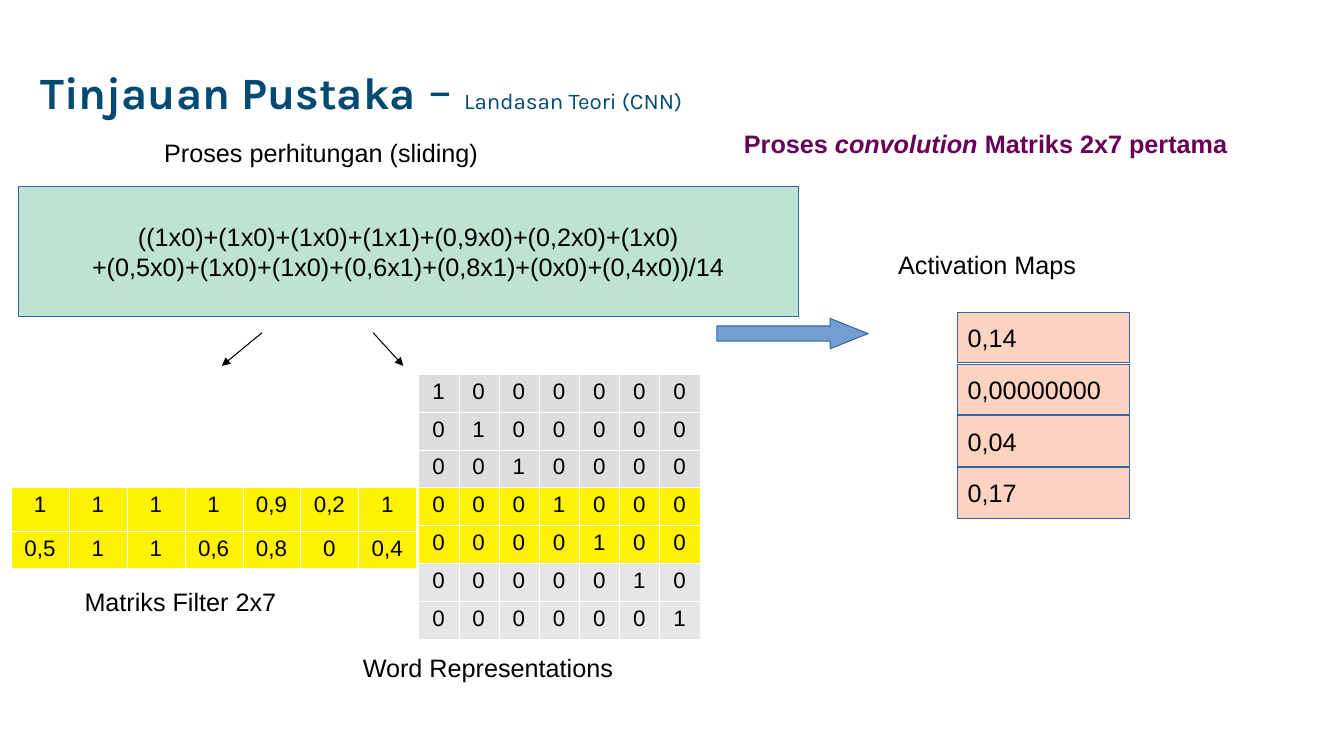
from dataclasses import dataclass

from lxml.etree import SubElement
from pptx import Presentation
from pptx.dml.color import RGBColor
from pptx.enum.shapes import MSO_CONNECTOR, MSO_SHAPE
from pptx.enum.text import MSO_ANCHOR, MSO_AUTO_SIZE, PP_ALIGN
from pptx.oxml.ns import qn
from pptx.util import Emu, Pt


@dataclass(frozen=True)
class Theme:
    """Colours, fonts and type sizes of the slide."""
    heading_font: str = "Karla"
    body_font: str = "Arial"
    title: str = "014A73"
    ink: str = "000000"
    emphasis: str = "680059"
    outline: str = "3465A4"
    formula: str = "BEE3D3"
    arrow: str = "729FCF"
    activation: str = "FCD3C1"
    window: str = "FFF200"
    above: str = "DDDDDD"
    below: str = "E6E6E6"
    grid: str = "FFFFFF"
    title_size: int = 32
    dash_size: int = 36
    subtitle_size: int = 16
    body_size: int = 18
    cell_size: int = 16
    line_width: float = 0.75


THEME = Theme()
LABEL_HEIGHT = 38


def px(value):
    """Turn px, at 100 to the inch, into EMU."""
    return Emu(round(value * 9144))


def place(box):
    """Turn a px box into EMU."""
    return [px(value) for value in box]


def add_run(paragraph, text, color=THEME.ink, **formats):
    """Append a run with the given font values."""
    run = paragraph.add_run()
    run.text = text
    values = {"name": THEME.body_font, "size": THEME.body_size} | formats
    values["size"] = Pt(values["size"])
    for name, value in values.items():
        setattr(run.font, name, value)
    run.font.color.rgb = RGBColor.from_string(color)


def add_label(slide, box, runs):
    """Place a text box holding one line of runs."""
    frame = slide.shapes.add_textbox(*place(box)).text_frame
    frame.word_wrap = True
    for text, formats in runs:
        add_run(frame.paragraphs[0], text, **formats)


def add_block(slide, kind, box, fill, lines=(), alignment=PP_ALIGN.LEFT):
    """Place an outlined shape with optional lines of text."""
    shape = slide.shapes.add_shape(kind, *place(box))
    shape.shadow.inherit = False
    shape.fill.solid()
    shape.fill.fore_color.rgb = RGBColor.from_string(fill)
    shape.line.color.rgb = RGBColor.from_string(THEME.outline)
    shape.line.width = Pt(THEME.line_width)
    frame = shape.text_frame
    frame.word_wrap = False
    frame.vertical_anchor = MSO_ANCHOR.MIDDLE
    for index, line in enumerate(lines):
        paragraph = frame.add_paragraph() if index else frame.paragraphs[0]
        paragraph.alignment = alignment
        add_run(paragraph, line)
    return shape


def style_cell(cell, text, fill):
    """Give a table cell its text, thin borders and fill."""
    paragraph = cell.text_frame.paragraphs[0]
    paragraph.alignment = PP_ALIGN.CENTER
    add_run(paragraph, text, size=THEME.cell_size)
    properties = cell._tc.get_or_add_tcPr()
    for side in ("a:lnL", "a:lnR", "a:lnT", "a:lnB"):
        border = SubElement(properties, qn(side), w="762")
        solid = SubElement(border, qn("a:solidFill"))
        SubElement(solid, qn("a:srgbClr"), val=THEME.grid)
    cell.fill.solid()
    cell.fill.fore_color.rgb = RGBColor.from_string(fill)


def add_matrix(slide, box, rows, fills, heights):
    """Place a table with equal columns and one fill per row."""
    column_count = len(rows[0])
    table = slide.shapes.add_table(len(rows), column_count, *place(box)).table
    table.first_row = table.horz_banding = False
    for column in table.columns:
        column.width = px(box[2] / column_count)
    for row, values, fill, height in zip(table.rows, rows, fills, heights):
        row.height = px(height)
        for cell, text in zip(row.cells, values):
            style_cell(cell, text, fill)


def add_pointer(slide, start, end):
    """Draw a thin line with an arrowhead at its end."""
    connector = slide.shapes.add_connector(
        MSO_CONNECTOR.STRAIGHT, *place(start + end))
    connector.line.color.rgb = RGBColor.from_string(THEME.ink)
    connector.line.width = Pt(THEME.line_width)
    SubElement(connector.line._get_or_add_ln(), qn("a:tailEnd"), type="triangle")
    SubElement(connector._element.spPr, qn("a:effectLst"))


def build_title(slide, box):
    """Move the title placeholder and write the heading in it."""
    title = slide.shapes.title
    title.left, title.top, title.width, title.height = place(box)
    frame = title.text_frame
    frame.word_wrap = True
    frame.auto_size = MSO_AUTO_SIZE.NONE
    frame.vertical_anchor = MSO_ANCHOR.MIDDLE
    paragraph = frame.paragraphs[0]
    paragraph.alignment = PP_ALIGN.LEFT
    paragraph.line_spacing = 0.9
    for text, size, bold in (("Tinjauan Pustaka", THEME.title_size, True),
                             (" – ", THEME.dash_size, False),
                             ("Landasan Teori (CNN)", THEME.subtitle_size, False)):
        add_run(paragraph, text, THEME.title, name=THEME.heading_font,
                size=size, bold=bold)


def build_calculation(slide, box):
    """Show the sliding formula, its label and the pointers below it."""
    left, top, width, height = box
    add_label(slide, (left + 135, top - 54, 405, LABEL_HEIGHT),
              [("Proses perhitungan (sliding)", {})])
    add_block(slide, MSO_SHAPE.RECTANGLE, box, THEME.formula,
              ["((1x0)+(1x0)+(1x0)+(1x1)+(0,9x0)+(0,2x0)+(1x0)",
               "+(0,5x0)+(1x0)+(1x0)+(0,6x1)+(0,8x1)+(0x0)+(0,4x0))/14"],
              PP_ALIGN.CENTER)
    bottom = top + height
    for start, end in ((242, 202), (352, 382)):
        add_pointer(slide, (left + start, bottom + 16), (left + end, bottom + 49))
    arrow = add_block(slide, MSO_SHAPE.RIGHT_ARROW,
                      (left + width - 81, bottom + 2, 150, 30), THEME.arrow)
    arrow.adjustments[0], arrow.adjustments[1] = 0.5, 1.25


def build_words(slide, box):
    """Show the one-hot word matrix with the current window marked."""
    left, top, width, height = box
    count = 7
    rows = [["1" if row == column else "0" for column in range(count)]
            for row in range(count)]
    fills = [THEME.above] * 3 + [THEME.window] * 2 + [THEME.below] * 2
    add_matrix(slide, box, rows, fills, [height / count] * count)
    add_label(slide, (left - 65, top + height + 8, 300, LABEL_HEIGHT),
              [("Word Representations", {})])


def build_filter(slide, box):
    """Show the filter matrix and its label."""
    left, top, width, height = box
    rows = ["1 1 1 1 0,9 0,2 1".split(), "0,5 1 1 0,6 0,8 0 0,4".split()]
    add_matrix(slide, box, rows, [THEME.window] * 2, [44, height - 44])
    add_label(slide, (left + 63, top + height + 13, 246, LABEL_HEIGHT),
              [("Matriks Filter 2x7", {})])


def build_activation(slide, box):
    """Show the convolution heading and the stack of activation values."""
    left, top, width, height = box
    style = {"color": THEME.emphasis, "bold": True}
    add_label(slide, (left - 222, top - 188, 605, 66),
              [("Proses ", style), ("convolution", style | {"italic": True}),
               (" Matriks 2x7 pertama", style)])
    add_label(slide, (left - 69, top - 68, 221, LABEL_HEIGHT),
              [("Activation Maps", {})])
    values = ("0,14", "0,00000000", "0,04", "0,17")
    cell_height = 50
    step = (height - cell_height) / (len(values) - 1)
    for index, value in enumerate(values):
        add_block(slide, MSO_SHAPE.RECTANGLE,
                  (left, top + index * step, width, cell_height),
                  THEME.activation, [value])


def main():
    """Build the slide and save it."""
    presentation = Presentation()
    presentation.slide_width, presentation.slide_height = px(1333), px(750)
    slide = presentation.slides.add_slide(presentation.slide_layouts[5])
    build_title(slide, (30, 20, 750, 145))
    build_words(slide, (415, 371, 279, 263))
    build_filter(slide, (11, 483, 402, 81))
    build_calculation(slide, (18, 185, 774, 129))
    build_activation(slide, (950, 310, 170, 204))
    presentation.save("out.pptx")


if __name__ == "__main__":
    main()
